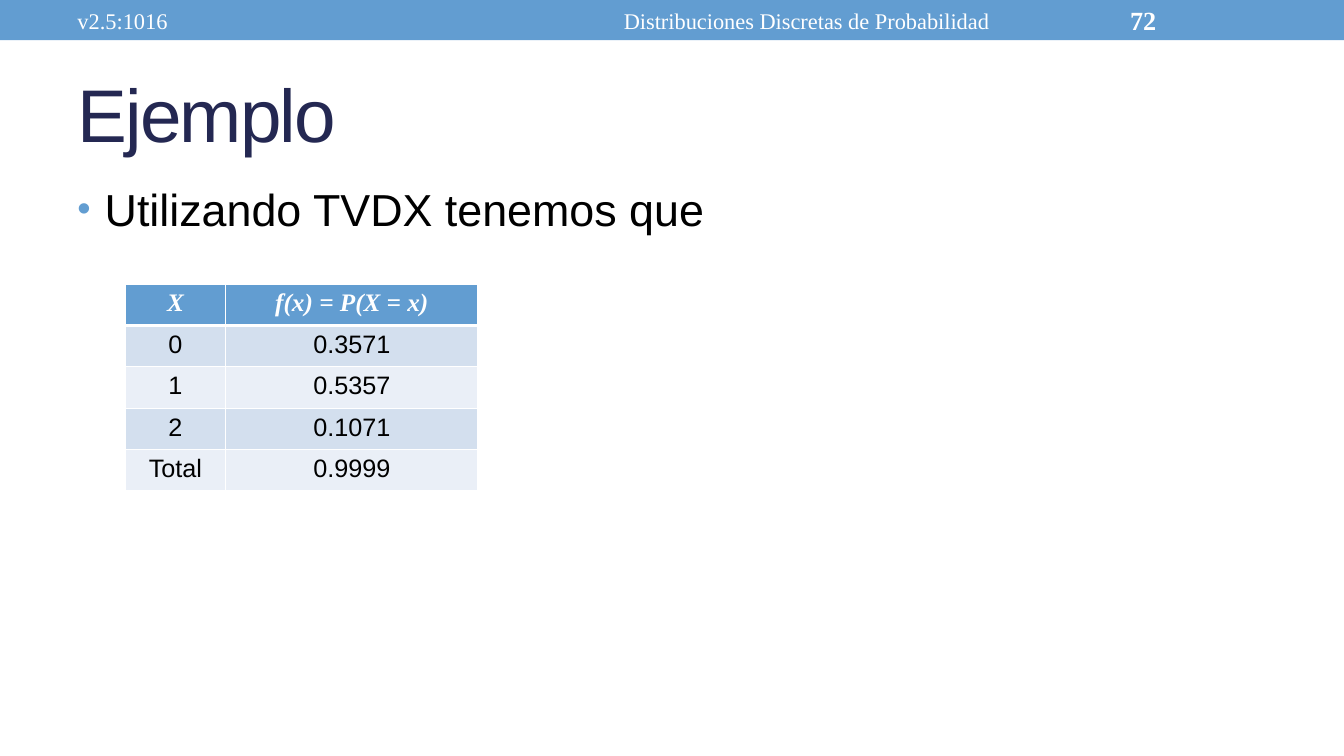
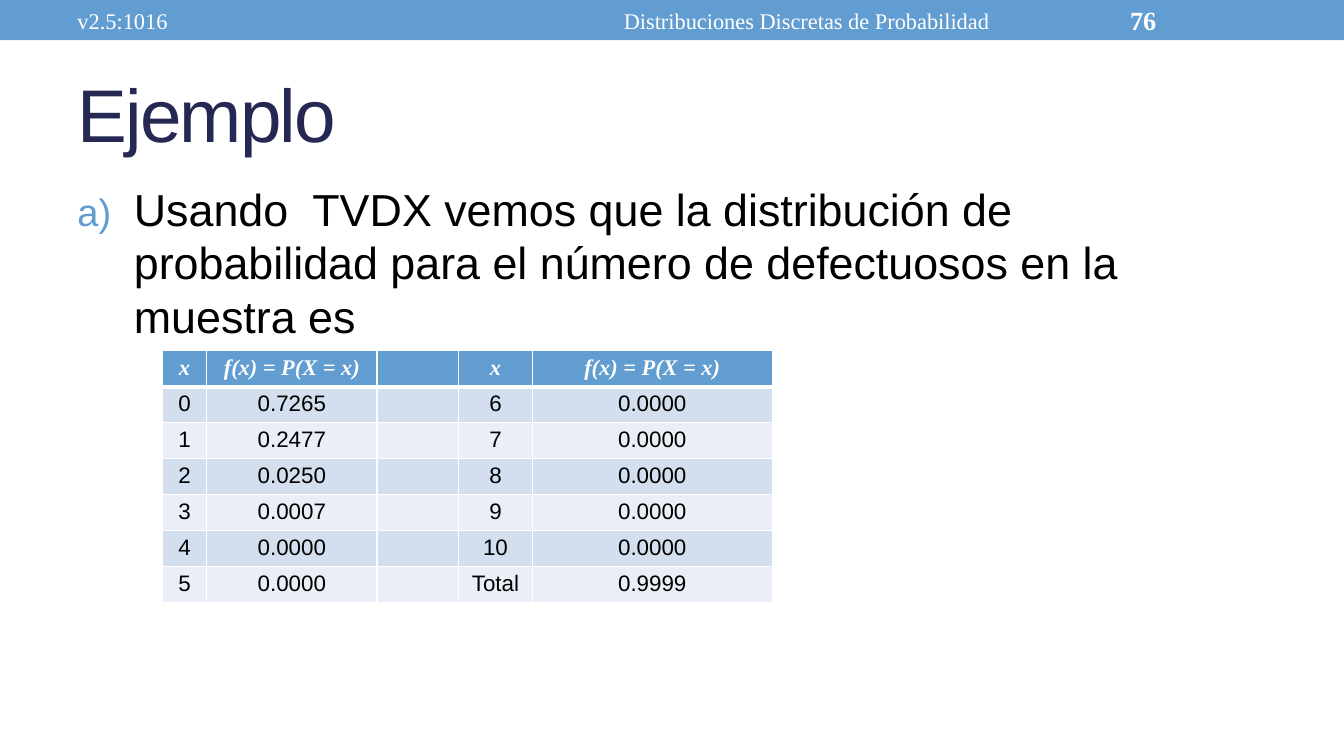
from lxml.etree import SubElement
from pptx import Presentation
from pptx.dml.color import RGBColor
from pptx.enum.shapes import MSO_SHAPE as Shape
from pptx.enum.text import MSO_ANCHOR as Anchor, PP_ALIGN as Align
from pptx.oxml.ns import qn
from pptx.util import Inches, Pt

BLUE, NAVY, WHITE, BLACK = "629DD1", "242852", "FFFFFF", "000000"
ROW_FILLS = ("D3DFEE", "EAEFF7")
SANS, SERIF = "Arial", "Times New Roman"
VERSION = "v2.5:1016"
TOPIC = "Distribuciones Discretas de Probabilidad"
DENSITY = "f(x) = P(X = x)"


def rgb(color):
    return RGBColor.from_string(color)


def style_font(font, name, size, color, bold=False, italic=False):
    font.name, font.size = name, Pt(size)
    font.bold, font.italic = bold, italic
    font.color.rgb = rgb(color)


def add_text(slide, text, box, name, size, color, bold=False,
             align=Align.LEFT, anchor=Anchor.MIDDLE):
    shape = slide.shapes.add_textbox(*map(Inches, box))
    frame = shape.text_frame
    frame.word_wrap = True
    frame.vertical_anchor = anchor
    paragraph = frame.paragraphs[0]
    paragraph.text = text
    paragraph.alignment = align
    style_font(paragraph.font, name, size, color, bold)
    return paragraph


def add_header(slide, number):
    band = slide.shapes.add_shape(Shape.RECTANGLE, 0, 0, Inches(13.33), Inches(0.4))
    band.shadow.inherit = False
    band.fill.solid()
    band.fill.fore_color.rgb = rgb(BLUE)
    band.line.fill.background()
    add_text(slide, VERSION, (0.67, 0.02, 4.22, 0.36), SERIF, 16, WHITE)
    add_text(slide, TOPIC, (5, 0.02, 6, 0.36), SERIF, 16, WHITE, align=Align.CENTER)
    add_text(slide, str(number), (11.11, 0.02, 1.56, 0.36), SERIF, 18.7, WHITE, bold=True)


def add_title(slide, text):
    paragraph = add_text(slide, text, (0.67, 0.58, 12, 1.08), SANS, 53.3, NAVY)
    paragraph.runs[0]._r.get_or_add_rPr().set("spc", "-130")


def add_body(slide, text, indent, marker_tag, **marker):
    """Add one list item; marker_tag and marker give its bullet or numbering."""
    paragraph = add_text(slide, text, (0.67, 1.75, 12, 5.33), SANS, 32, BLACK,
                         anchor=Anchor.TOP)
    properties = paragraph._p.get_or_add_pPr()
    properties.set("marL", str(Inches(indent)))
    properties.set("indent", str(-Inches(indent)))
    bullet_color = SubElement(properties, qn("a:buClr"))
    SubElement(bullet_color, qn("a:srgbClr"), val=BLUE)
    SubElement(properties, qn("a:buSzPct"), val="85000")
    SubElement(properties, qn("a:buFont"), typeface=SANS)
    SubElement(properties, qn(marker_tag), **marker)
    properties.append(properties.find(qn("a:defRPr")))


def set_borders(cell, top, bottom):
    properties = cell._tc.get_or_add_tcPr()
    widths = {"a:lnL": 1, "a:lnR": 1, "a:lnT": top, "a:lnB": bottom}
    for index, (tag, width) in enumerate(widths.items()):
        line = SubElement(properties, qn(tag), w=str(Pt(width)))
        fill = SubElement(line, qn("a:solidFill"))
        SubElement(fill, qn("a:srgbClr"), val=WHITE)
        properties.insert(index, line)


def fill_cell(cell, text, row, size):
    cell.margin_top, cell.margin_bottom = Inches(0.05), Inches(0.04)
    cell.fill.solid()
    cell.fill.fore_color.rgb = rgb(ROW_FILLS[(row - 1) % 2] if row else BLUE)
    set_borders(cell, top=3 if row == 1 else 1, bottom=1 if row else 3)
    paragraph = cell.text_frame.paragraphs[0]
    paragraph.alignment = Align.CENTER
    if row:
        style_font(paragraph.font, SANS, size, BLACK)
    else:
        style_font(paragraph.font, SERIF, size, WHITE, bold=True, italic=True)
    if text:
        paragraph.text = text
    else:
        SubElement(paragraph._p, qn("a:endParaRPr"), sz=str(size * 100))


def add_table(slide, rows, left, top, widths, row_height, size):
    frame = slide.shapes.add_table(
        len(rows), len(widths), Inches(left), Inches(top),
        Inches(sum(widths)), Inches(row_height * len(rows)))
    table = frame.table
    for column, width in zip(table.columns, widths):
        column.width = Inches(width)
    for row, texts in enumerate(rows):
        table.rows[row].height = Inches(row_height)
        for column, text in enumerate(texts):
            fill_cell(table.cell(row, column), text, row, size)


def add_example(presentation, number):
    slide = presentation.slides.add_slide(presentation.slide_layouts[6])
    add_header(slide, number)
    add_title(slide, "Ejemplo")
    return slide


def main():
    presentation = Presentation()
    presentation.slide_width = Inches(13.33)
    presentation.slide_height = Inches(7.5)

    slide = add_example(presentation, 72)
    add_body(slide, "Utilizando TVDX tenemos que", 0.27, "a:buChar", char="•")
    add_table(slide, [
        ("X", DENSITY),
        ("0", "0.3571"),
        ("1", "0.5357"),
        ("2", "0.1071"),
        ("Total", "0.9999"),
    ], 1.24, 2.82, (1, 2.5), 0.41, 18)

    slide = add_example(presentation, 76)
    add_body(slide, "Usando  TVDX vemos que la distribución de probabilidad para "
             "el número de defectuosos en la muestra es",
             0.56, "a:buAutoNum", type="alphaLcParenR")
    add_table(slide, [
        ("x", DENSITY, "", "x", DENSITY),
        ("0", "0.7265", "", "6", "0.0000"),
        ("1", "0.2477", "", "7", "0.0000"),
        ("2", "0.0250", "", "8", "0.0000"),
        ("3", "0.0007", "", "9", "0.0000"),
        ("4", "0.0000", "", "10", "0.0000"),
        ("5", "0.0000", "", "Total", "0.9999"),
    ], 1.61, 3.48, (0.44, 1.69, 0.81, 0.73, 2.38), 0.35, 16)

    presentation.save("out.pptx")


if __name__ == "__main__":
    main()
